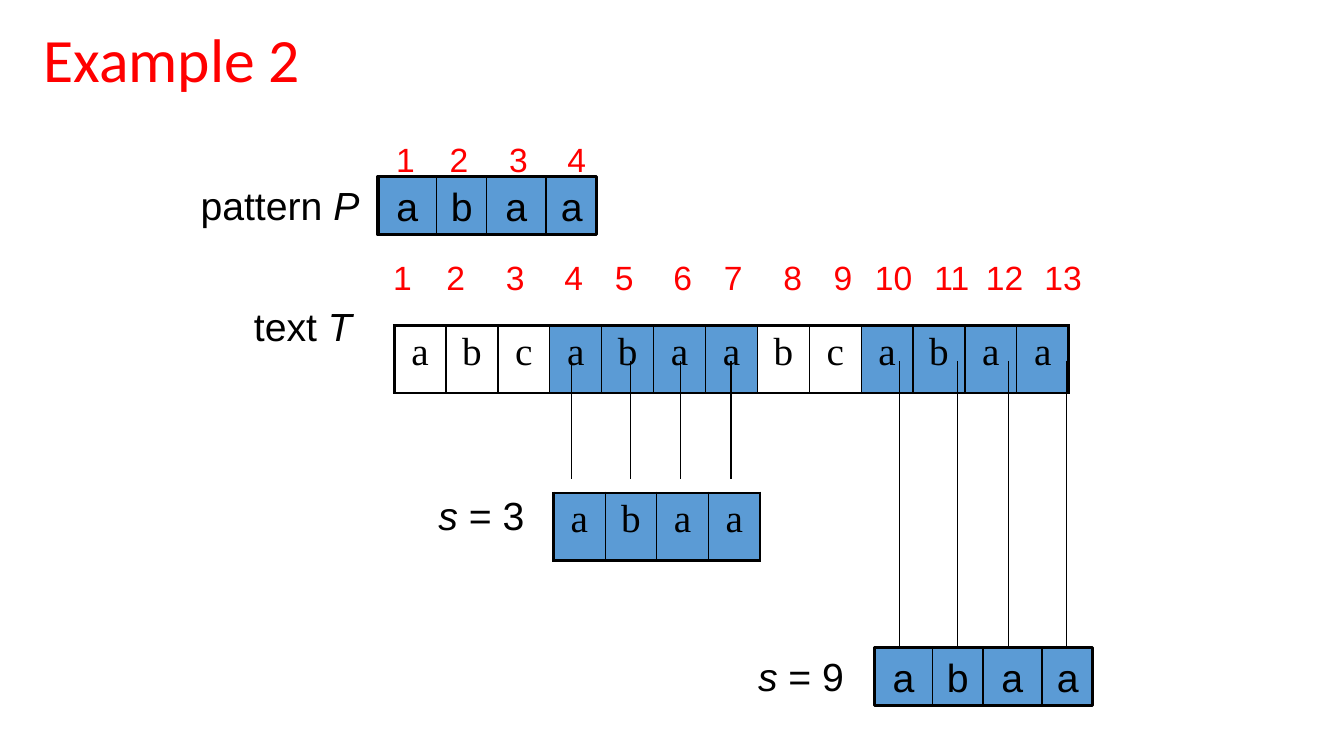
from lxml.etree import SubElement
from pptx import Presentation
from pptx.dml.color import RGBColor
from pptx.enum.shapes import MSO_CONNECTOR, MSO_SHAPE
from pptx.enum.text import MSO_ANCHOR, MSO_AUTO_SIZE, PP_ALIGN
from pptx.oxml import parse_xml
from pptx.oxml.ns import nsdecls, qn
from pptx.util import Inches, Pt


def paint(font, size, name, color):
    font.size = Pt(size)
    font.name = name
    font.color.rgb = RGBColor.from_string(color)


def label(left, top, width, height, runs, size, color):
    box = slide.shapes.add_textbox(Inches(left), Inches(top), Inches(width), Inches(height))
    frame = box.text_frame
    frame.word_wrap = False
    frame.auto_size = MSO_AUTO_SIZE.SHAPE_TO_FIT_TEXT
    line = frame.paragraphs[0]
    paint(line.font, size, "Arial", color)
    for text, slant in runs:
        run = line.add_run()
        run.text = text
        run.font.italic = slant


black, red, blue = "000000", "FF0000", "5B9BD5"
pattern = "abaa"

deck = Presentation()
deck.slide_width = Inches(13.33)
deck.slide_height = Inches(7.5)
slide = deck.slides.add_slide(deck.slide_layouts[5])

title = slide.shapes.title
title.left, title.top = Inches(0.33), Inches(0.14)
title.width, title.height = Inches(8.5), Inches(0.97)
title.text_frame.text = "Example 2"
title.text_frame.vertical_anchor = MSO_ANCHOR.MIDDLE
head = title.text_frame.paragraphs[0]
head.alignment = PP_ALIGN.LEFT
head.line_spacing = 0.9
paint(head.font, 44, "Calibri", red)

tables = [
    (3.91, 3.23, 6.69, "abcabaabcabaa", {3, 4, 5, 6, 9, 10, 11, 12}),
    (5.49, 4.89, 2.05, pattern, {0, 1, 2, 3}),
]
for left, top, width, text, marked in tables:
    last = len(text) - 1
    grid = slide.shapes.add_table(
        1, len(text), Inches(left), Inches(top), Inches(width), Inches(0.67)
    ).table
    grid.first_row = False
    grid.horz_banding = False
    for i, char in enumerate(text):
        grid.columns[i].width = Inches(width / len(text))
        cell = grid.cell(0, i)
        cell.text = char
        line = cell.text_frame.paragraphs[0]
        line.alignment = PP_ALIGN.CENTER
        paint(line.font, 28, "Times New Roman", black)
        props = cell._tc.get_or_add_tcPr()
        sides = {"L": 2.25 if i == 0 else 1, "R": 2.25 if i == last else 1, "T": 2.25, "B": 2.25}
        for side, weight in sides.items():
            props.append(parse_xml(
                f'<a:ln{side} {nsdecls("a")} w="{Pt(weight)}"><a:solidFill>'
                f'<a:srgbClr val="{black}"/></a:solidFill></a:ln{side}>'
            ))
        if i in marked:
            cell.fill.solid()
            cell.fill.fore_color.rgb = RGBColor.from_string(blue)
        else:
            cell.fill.background()

for left, top in [(8.67, 6.42), (3.75, 1.75)]:
    group = slide.shapes.add_group_shape()
    parts = [(0, 0.58, "a"), (0.58, 0.5, "b"), (1.08, 0.58, "a"), (1.67, 0.5, "a"), (0, 2.17, "")]
    for shift, width, char in parts:
        box = group.shapes.add_shape(
            MSO_SHAPE.RECTANGLE, Inches(left + shift), Inches(top), Inches(width), Inches(0.58)
        )
        box.shadow.inherit = False
        box.line.color.rgb = RGBColor.from_string(black)
        if char:
            box.line.width = Pt(0.75)
            box.fill.solid()
            box.fill.fore_color.rgb = RGBColor.from_string(blue)
            frame = box.text_frame
            frame.text = char
            frame.word_wrap = False
            frame.vertical_anchor = MSO_ANCHOR.MIDDLE
            frame.paragraphs[0].alignment = PP_ALIGN.CENTER
            paint(frame.paragraphs[0].font, 28, "Arial", black)
        else:
            box.line.width = Pt(2.25)
            box.fill.background()

for spots, end in [((5.67, 6.25, 6.75, 7.25), 4.75), ((8.92, 9.5, 10, 10.58), 6.42)]:
    for x in spots:
        link = slide.shapes.add_connector(
            MSO_CONNECTOR.STRAIGHT, Inches(x), Inches(3.58), Inches(x), Inches(end)
        )
        link.line.width = Pt(0.75)
        link.line.color.rgb = RGBColor.from_string(black)
        SubElement(link._element.spPr, qn("a:effectLst"))

names = [
    (2.42, 2.95, 1.17, [("text ", False), ("T", True)]),
    (1.89, 1.75, 1.78, [("pattern ", False), ("P", True)]),
    (4.25, 4.83, 1.06, [("s", True), (" = 3", False)]),
    (7.42, 6.42, 1.06, [("s", True), (" = 9", False)]),
]
for left, top, width, runs in names:
    label(left, top, width, 0.57, runs, 28, black)

rows = [
    (2.5, [3.8, 4.33, 4.92, 5.5, 6, 6.58, 7.08, 7.67, 8.17, 8.58, 9.17, 9.68, 10.26]),
    (1.33, [3.83, 4.36, 4.95, 5.53]),
]
for top, spots in rows:
    for n, left in enumerate(spots, 1):
        label(left, top, 0.39 if n < 10 else 0.57, 0.5, [(str(n), False)], 24, red)

deck.save("out.pptx")
